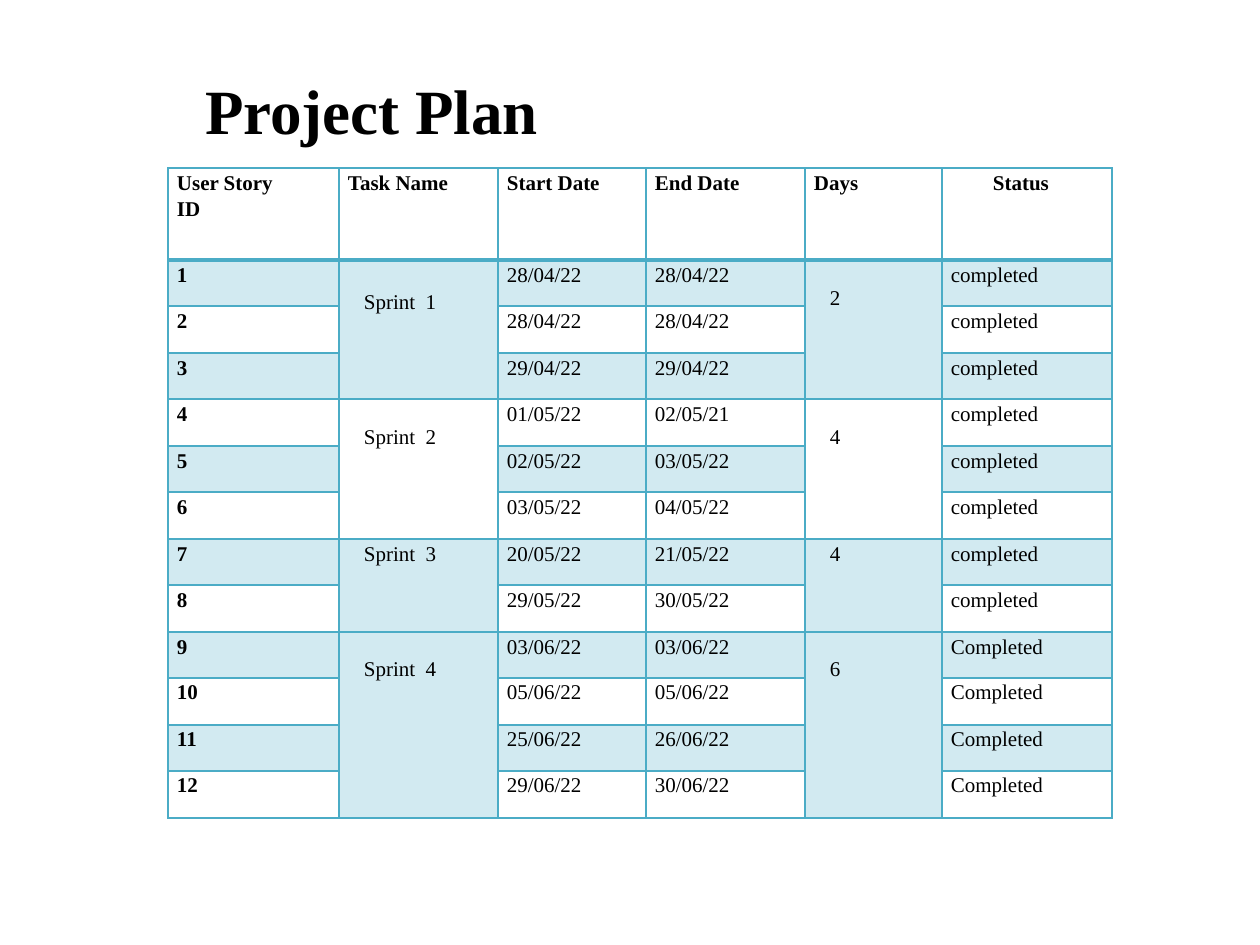
from lxml.etree import SubElement
from pptx import Presentation
from pptx.dml.color import RGBColor as RGB
from pptx.enum.text import MSO_ANCHOR as ANCHOR, PP_ALIGN as ALIGN
from pptx.oxml.ns import qn
from pptx.util import Pt

EMU = 914400 / 126
BLUE, PALE = "4BACC6", "D2EAF1"


def px(n):
    return round(n * EMU)


def write(tf, text, size=12, bold=False, color="000000", spacing=1.15, left=9, top=0):
    tf.text = text
    for p in tf.paragraphs:
        p.alignment = ALIGN.LEFT
        p.line_spacing = spacing
        for r in p.runs:
            r.font.name = "Times New Roman"
            r.font.size = Pt(size)
            r.font.bold = bold
            r.font.color.rgb = RGB.from_string(color)
    return {"margin_left": px(left), "margin_right": px(9),
            "margin_top": px(top), "margin_bottom": 0}


prs = Presentation()
prs.slide_width, prs.slide_height = px(1260), px(945)
s = prs.slides.add_slide(prs.slide_layouts[5])

title = s.shapes.title
title.left, title.top, title.width, title.height = px(205), px(70), px(540), px(78)
tf = title.text_frame
for side, margin in write(tf, "Project Plan", size=36, bold=True, spacing=1.0).items():
    setattr(tf, side, 0)
tf.word_wrap = False
tf.vertical_anchor = ANCHOR.MIDDLE

header = ["User Story\nID", "Task Name", "Start Date", "End Date", "Days", "Status"]
dates = [
    ("28/04/22", "28/04/22"), ("28/04/22", "28/04/22"), ("29/04/22", "29/04/22"),
    ("01/05/22", "02/05/21"), ("02/05/22", "03/05/22"), ("03/05/22", "04/05/22"),
    ("20/05/22", "21/05/22"), ("29/05/22", "30/05/22"),
    ("03/06/22", "03/06/22"), ("05/06/22", "05/06/22"),
    ("25/06/22", "26/06/22"), ("29/06/22", "30/06/22"),
]
sprints = [
    (1, 3, "Sprint  1", "2", 27, 23),
    (4, 3, "Sprint  2", "4", 23, 23),
    (7, 2, "Sprint  3", "4", 0, 0),
    (9, 4, "Sprint  4", "6", 23, 23),
]
widths = [171, 159, 148, 159, 137, 170]
heights = [92] + [46, 47] * 6

frame = s.shapes.add_table(len(heights), len(widths), px(168), px(168),
                           px(sum(widths)), px(sum(heights)))
table = frame.table
table.first_row = table.horz_banding = False
for col, width in zip(table.columns, widths):
    col.width = px(width)
for row, height in zip(table.rows, heights):
    row.height = px(height)

texts = {(0, j): (name, {"bold": True}) for j, name in enumerate(header)}
texts[0, 5][1]["left"] = 51
for i, (start, end) in enumerate(dates, 1):
    status = "completed" if i < 9 else "Completed"
    texts[i, 0] = (str(i), {"bold": True})
    for j, text in ((2, start), (3, end), (5, status)):
        texts[i, j] = (text, {})
for i, span, name, days, name_top, days_top in sprints:
    for j, text, top in ((1, name, name_top), (4, days, days_top)):
        table.cell(i, j).merge(table.cell(i + span - 1, j))
        texts[i, j] = (text, {"left": 25, "top": top})

for i in range(len(heights)):
    for j in range(len(widths)):
        cell = table.cell(i, j)
        if (i, j) in texts:
            text, style = texts[i, j]
            for side, margin in write(cell.text_frame, text, **style).items():
                setattr(cell, side, margin)
        tcPr = cell._tc.get_or_add_tcPr()
        for side in ("L", "R", "T", "B"):
            thick = (i, side) in ((0, "B"), (1, "T"))
            ln = SubElement(tcPr, qn("a:ln" + side), w=str(Pt(2.25 if thick else 1)))
            SubElement(SubElement(ln, qn("a:solidFill")), qn("a:srgbClr"), val=BLUE)
        if i % 2:
            cell.fill.solid()
            cell.fill.fore_color.rgb = RGB.from_string(PALE)
        else:
            cell.fill.background()

prs.save("out.pptx")
